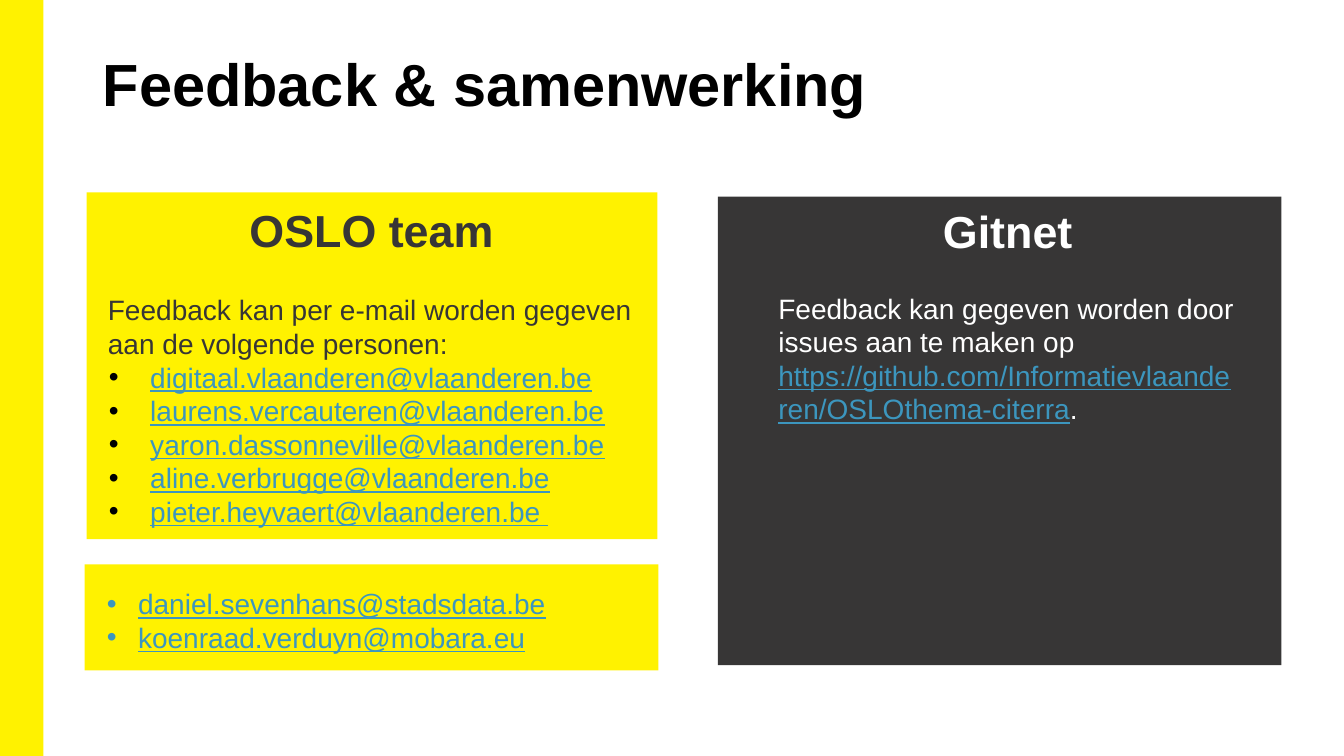
from lxml.etree import SubElement
from pptx import Presentation
from pptx.dml.color import RGBColor
from pptx.enum.shapes import MSO_SHAPE as Shape
from pptx.enum.text import MSO_ANCHOR as Anchor, MSO_AUTO_SIZE as AutoSize, PP_ALIGN as Align
from pptx.oxml.ns import qn
from pptx.util import Inches, Pt

YELLOW = RGBColor(0xFF, 0xF2, 0x00)
DARK = RGBColor(0x37, 0x36, 0x36)
BLUE = RGBColor(0x3C, 0x96, 0xBE)
BLACK = RGBColor(0, 0, 0)
WHITE = RGBColor(0xFF, 0xFF, 0xFF)

TEAM = ["digitaal.vlaanderen@vlaanderen.be", "laurens.vercauteren@vlaanderen.be",
        "yaron.dassonneville@vlaanderen.be", "aline.verbrugge@vlaanderen.be",
        "pieter.heyvaert@vlaanderen.be "]
PARTNERS = ["daniel.sevenhans@stadsdata.be", "koenraad.verduyn@mobara.eu"]


class FeedbackSlide:
    """Holds the slide and its text style, and draws each kind of element."""

    font_name = "Arial"
    body_size = 20
    heading_size = 32
    leading = 1.2

    def __init__(self, deck):
        self.slide = deck.slides.add_slide(deck.slide_layouts[5])

    def panel(self, left, top, width, height, color):
        rect = self.slide.shapes.add_shape(
            Shape.RECTANGLE, Inches(left), Inches(top), Inches(width), Inches(height))
        rect.shadow.inherit = False
        rect.fill.solid()
        rect.fill.fore_color.rgb = color
        rect.line.fill.background()

    def format_frame(self, frame, side, edge):
        settings = {"word_wrap": True, "auto_size": AutoSize.NONE,
                    "vertical_anchor": Anchor.TOP,
                    "margin_left": Inches(side), "margin_right": Inches(side),
                    "margin_top": Inches(edge), "margin_bottom": Inches(edge)}
        for name, value in settings.items():
            setattr(frame, name, value)

    def title(self, text):
        heading = self.slide.shapes.title
        place = {"left": 0.92, "top": 0.42, "width": 12.42, "height": 1.08}
        for name, value in place.items():
            setattr(heading, name, Inches(value))
        self.format_frame(heading.text_frame, 0.1, 0.05)
        self.add_text(heading.text_frame.paragraphs[0], [(text, BLACK)], 42.5, bold=True)

    def text_box(self, left, top, width, height):
        box = self.slide.shapes.add_textbox(
            Inches(left), Inches(top), Inches(width), Inches(height))
        self.format_frame(box.text_frame, 0.13, 0.07)
        return box.text_frame

    def add_text(self, paragraph, runs, size, bold=False, align=Align.LEFT, before=0):
        paragraph.alignment = align
        paragraph.line_spacing = Pt(size * self.leading)
        if before:
            paragraph.space_before = Pt(before)
        for text, color in runs:
            run = paragraph.add_run()
            run.text = text
            run.font.color.rgb = color
            style = {"name": self.font_name, "size": Pt(size), "bold": bold,
                     "underline": color == BLUE}
            for name, value in style.items():
                setattr(run.font, name, value)

    def indent(self, paragraph, margin, hanging=0):
        properties = paragraph._p.get_or_add_pPr()
        properties.set("marL", str(Inches(margin)))
        properties.set("indent", str(-Inches(hanging)))
        return properties

    def bullets(self, paragraphs, addresses, margin, hanging, color):
        for paragraph, address in zip(paragraphs, addresses):
            properties = self.indent(paragraph, margin, hanging)
            bullet_color = SubElement(properties, qn("a:buClr"))
            SubElement(bullet_color, qn("a:srgbClr"), val=str(color))
            SubElement(properties, qn("a:buFont"), typeface=self.font_name)
            SubElement(properties, qn("a:buChar"), char="•")
            self.add_text(paragraph, [(address, BLUE)], self.body_size)

    def heading_and_body(self, frame, heading, runs, color, gap, margin=0):
        top, body = frame.paragraphs[0], frame.add_paragraph()
        for paragraph in (top, body):
            self.indent(paragraph, margin)
        self.add_text(top, [(heading, color)], self.heading_size, True, Align.CENTER)
        self.add_text(body, runs, self.body_size, before=gap)


def main():
    deck = Presentation()
    deck.slide_width, deck.slide_height = Inches(13.33), Inches(7.5)
    page = FeedbackSlide(deck)

    page.panel(0, 0, 0.43, 7.5, YELLOW)
    page.title("Feedback & samenwerking")

    page.panel(0.86, 1.91, 5.66, 3.44, YELLOW)
    team = page.text_box(0.94, 1.94, 5.49, 3.41)
    invitation = "Feedback kan per e-mail worden gegeven aan de volgende personen:"
    page.heading_and_body(team, "OSLO team", [(invitation, DARK)], DARK, 26)
    page.bullets([team.add_paragraph() for _ in TEAM], TEAM, 0.42, 0.41, BLACK)

    page.panel(7.12, 1.95, 5.59, 4.65, DARK)
    issues = page.text_box(7.44, 1.95, 4.96, 2.69)
    page.heading_and_body(issues, "Gitnet", [
        ("Feedback kan gegeven worden door issues aan te maken op ", WHITE),
        ("https://github.com/Informatievlaanderen/OSLOthema-citerra", BLUE),
        (".", WHITE)], WHITE, 24, 0.15)

    page.panel(0.84, 5.6, 5.69, 1.05, YELLOW)
    partners = page.text_box(0.93, 5.75, 5.56, 0.82)
    page.bullets([partners.paragraphs[0], partners.add_paragraph()],
                 PARTNERS, 0.31, 0.31, BLUE)

    deck.save("out.pptx")


if __name__ == "__main__":
    main()
